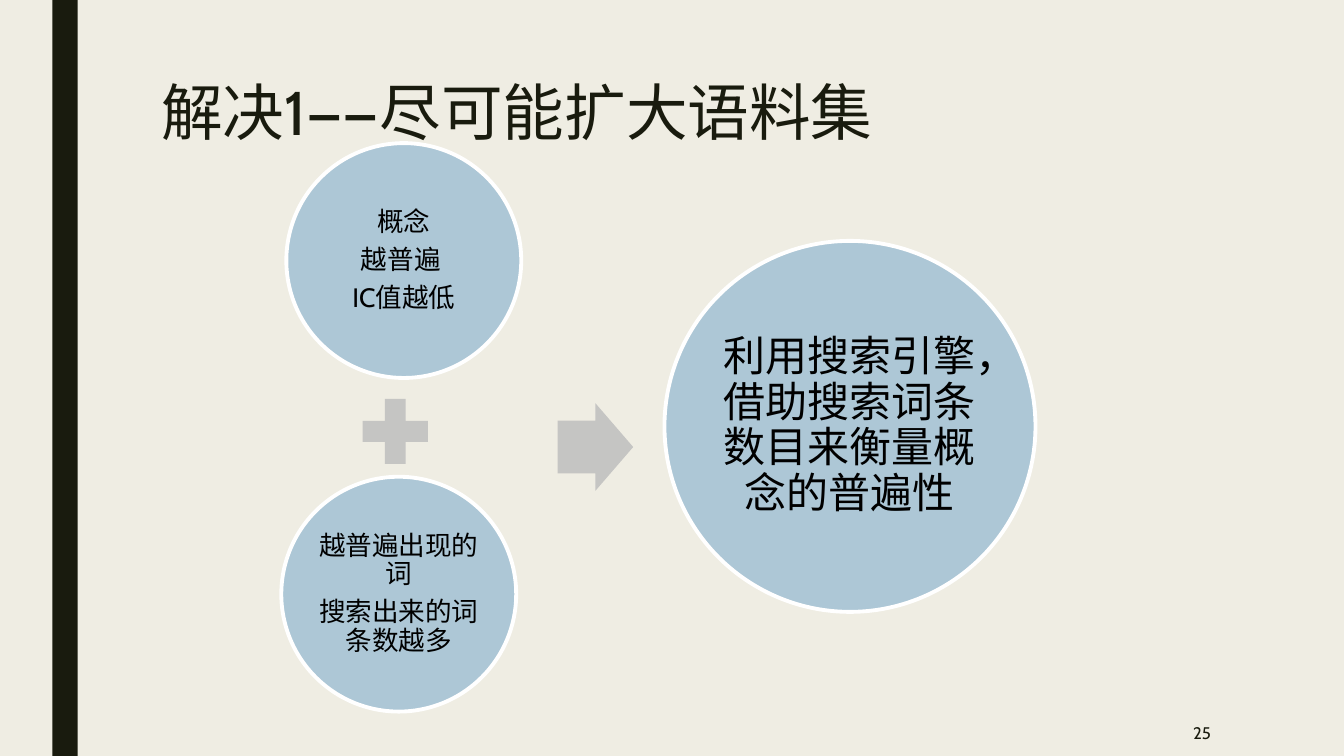
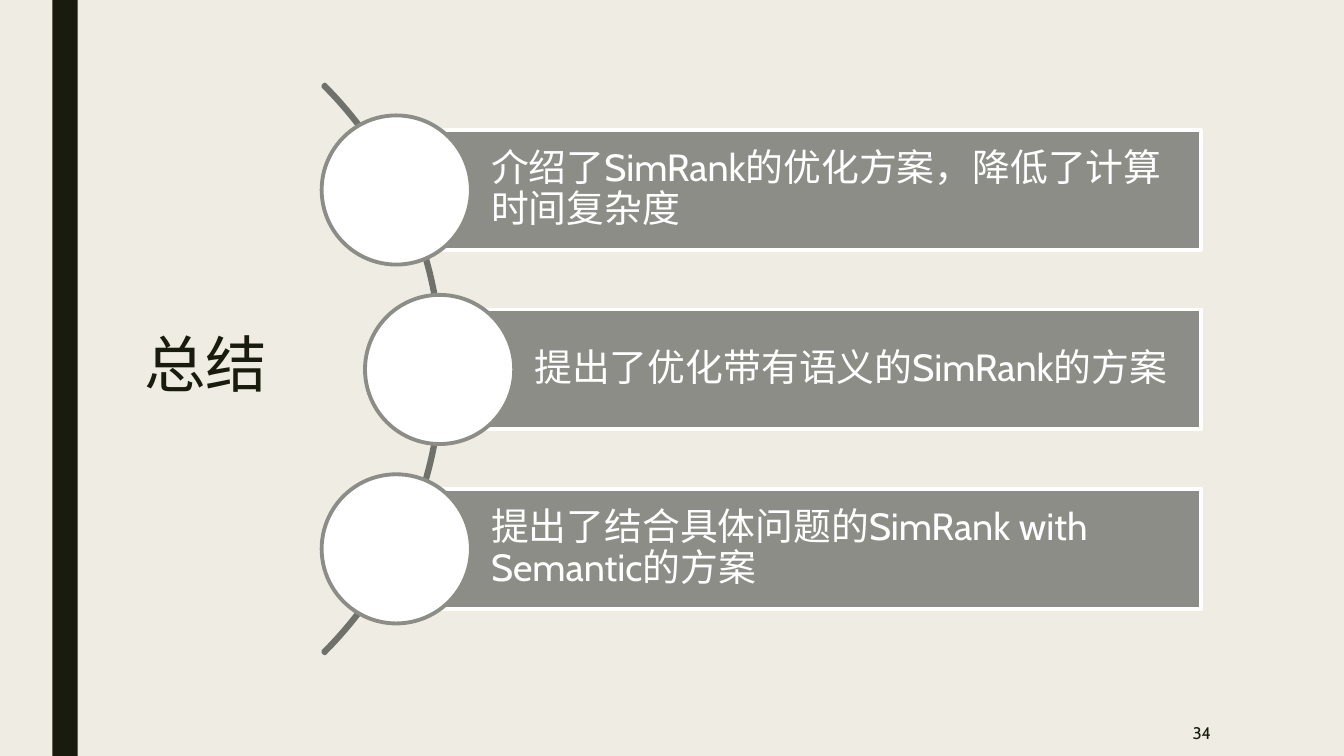
from pptx import Presentation
from pptx.dml.color import RGBColor
from pptx.enum.shapes import MSO_SHAPE
from pptx.enum.text import MSO_ANCHOR, PP_ALIGN
from pptx.util import Inches, Pt

FONT = "Cabin"
PAPER, DARK, WHITE, BLACK = "EFEDE3", "191B0E", "FFFFFF", "000000"
BLUE, PALE, GREY, ARC = "ADC7D6", "C5C5C3", "8C8D86", "70716B"


def draw(slide, kind, box, fill=None, line=None):
    """Add a preset shape; without fill or line colour it has none."""
    shape = slide.shapes.add_shape(kind, *map(Inches, box))
    shape.shadow.inherit = False
    for part, color in ((shape.fill, fill), (shape.line.fill, line)):
        if color:
            part.solid()
            part.fore_color.rgb = RGBColor.from_string(color)
        else:
            part.background()
    if line:
        shape.line.width = Pt(2.75)
    return shape


def write(shape, text, size, color, align=PP_ALIGN.LEFT, pads=(0.1, 0.05, 0.1, 0.05),
          anchor=MSO_ANCHOR.MIDDLE, gap=0.35):
    """Set the text of a shape, one paragraph a line."""
    frame = shape.text_frame
    frame.text = text
    frame.word_wrap = True
    frame.vertical_anchor = anchor
    (frame.margin_left, frame.margin_top,
     frame.margin_right, frame.margin_bottom) = map(Inches, pads)
    for para in frame.paragraphs:
        para.alignment = align
        para.line_spacing = 0.9
        para.space_after = Pt(round(size * gap, 1))
        for run in para.runs:
            run.font.name = FONT
            run.font.size = Pt(size)
            run.font.color.rgb = RGBColor.from_string(color)


deck = Presentation()
deck.slide_width, deck.slide_height = Inches(13.33), Inches(7.5)
back = deck.slide_master.background.fill
back.solid()
back.fore_color.rgb = RGBColor.from_string(PAPER)

# Shared frame: band, title, page number
pages = [
    ("解决1——尽可能扩大语料集", (1.5, 0.77, 10.5, 1.62), "25"),
    ("总结", (1.33, 3.27, 1.61, 0.79), "34"),
]
slides = []
for title, box, num in pages:
    slide = deck.slides.add_slide(deck.slide_layouts[6])
    draw(slide, MSO_SHAPE.RECTANGLE, (0.52, 0, 0.25, 7.5), DARK)
    head = slide.shapes.add_textbox(*map(Inches, box))
    write(head, title, 44, DARK, anchor=MSO_ANCHOR.TOP, gap=0)
    foot = slide.shapes.add_textbox(*map(Inches, (10.36, 7.06, 1.75, 0.44)))
    write(foot, num, 12, DARK, PP_ALIGN.RIGHT, gap=0)
    slides.append(slide)
first, last = slides

# Slide 1: two circles lead to a large one
circles = [
    (2.84, 1.42, 2.33, 19, 0.03, "概念\n越普遍 \nIC值越低"),
    (2.79, 4.73, 2.33, 19, 0.03, "越普遍出现的词\n搜索出来的词条数越多"),
    (6.59, 2.39, 3.68, 30, 0.04, "利用搜索引擎，借助搜索词条数目来衡量概念的普遍性"),
]
for left, top, side, size, pad, text in circles:
    disc = draw(first, MSO_SHAPE.OVAL, (left, top, side, side), BLUE, WHITE)
    write(disc, text, size, BLACK, PP_ALIGN.CENTER, (pad,) * 4)
draw(first, MSO_SHAPE.MATH_PLUS, (3.48, 3.84, 0.88, 0.88), PALE)
arrow = draw(first, MSO_SHAPE.RIGHT_ARROW, (5.53, 4, 0.75, 0.87), PALE)
arrow.adjustments[0] = 0.6

# Slide 2: bars strung along a thin arc from 315 to 45 degrees
arc = draw(last, MSO_SHAPE.BLOCK_ARC, (-3.59, -0.33, 7.98, 7.98), line=ARC)
for spot, value in enumerate((189, 27, 0.003)):
    arc.adjustments[spot] = value

points = [
    (3.93, "介绍了SimRank的优化方案，降低了计算时间复杂度"),
    (4.36, "提出了优化带有语义的SimRank的方案"),
    (3.93, "提出了结合具体问题的SimRank with Semantic的方案"),
]
RIGHT, HIGH, DOT, STEP = 11.91, 1.19, 1.48, 1.78
for row, (left, text) in enumerate(points):
    top = 1.29 + row * STEP
    bar = draw(last, MSO_SHAPE.RECTANGLE, (left, top, RIGHT - left, HIGH), GREY, WHITE)
    write(bar, text, 27, WHITE, pads=(0.94, 0.07, 0.07, 0.07))
    dot = (left - DOT / 2, top + (HIGH - DOT) / 2, DOT, DOT)
    draw(last, MSO_SHAPE.OVAL, dot, WHITE, GREY)

deck.save("out.pptx")
